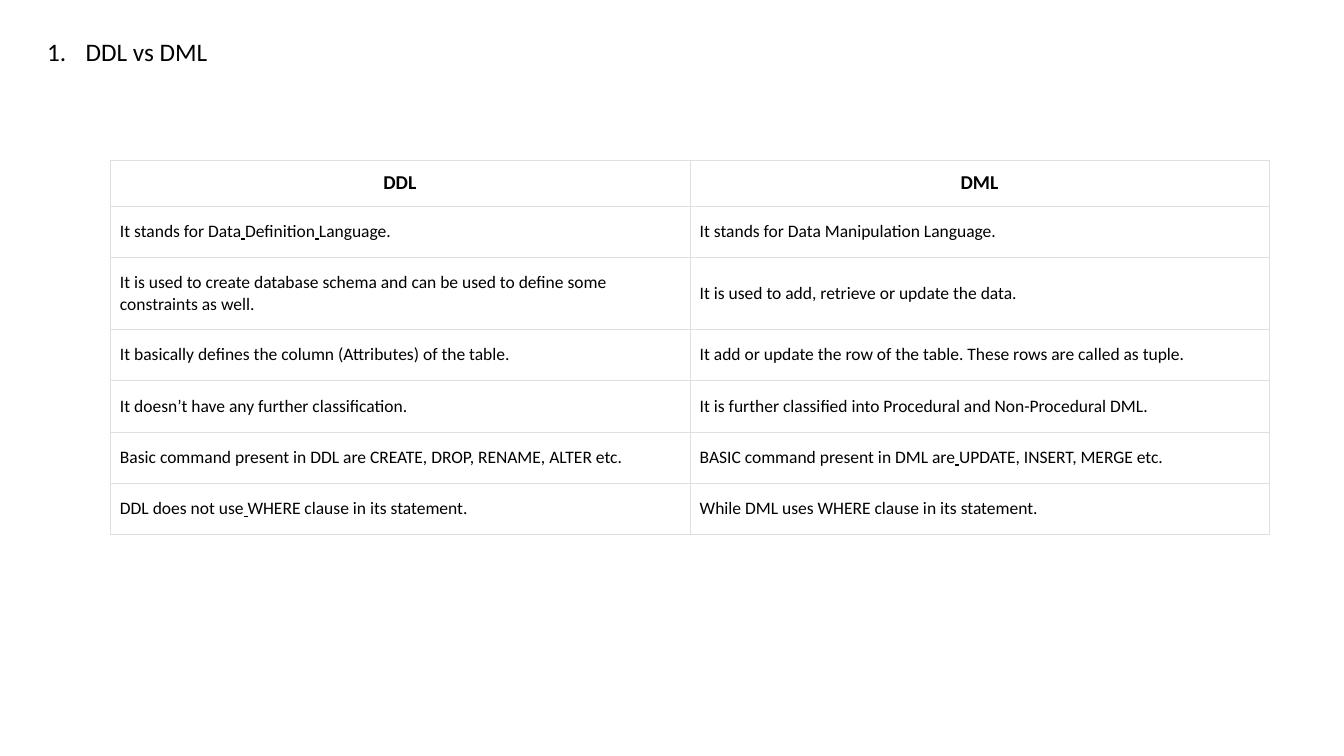
from lxml import etree
from pptx import Presentation, util as u
from pptx.dml.color import RGBColor
from pptx.enum import text
from pptx.oxml import ns

COLORS = {"ink": "000000", "cell": "FFFFFF", "border": "DFDFDF"}
ROW_HEIGHTS = [0.45, 0.5, 0.71, 0.5, 0.5, 0.5, 0.5]
COMPARISON = [
    ("DDL", "DML"),
    ("It stands for Data_Definition_Language.",
     "It stands for Data Manipulation Language."),
    ("It is used to create database schema and can be used to define some constraints as well.",
     "It is used to add, retrieve or update the data."),
    ("It basically defines the column (Attributes) of the table.",
     "It add or update the row of the table. These rows are called as tuple."),
    ("It doesn’t have any further classification.",
     "It is further classified into Procedural and Non-Procedural DML."),
    ("Basic command present in DDL are CREATE, DROP, RENAME, ALTER etc.",
     "BASIC command present in DML are_UPDATE, INSERT, MERGE etc."),
    ("DDL does not use_WHERE clause in its statement.",
     "While DML uses WHERE clause in its statement."),
]


class SlideBuilder:
    """Holds the text style and the current slide; an underscore in table text is an underlined space."""

    def __init__(self, page, font="Calibri"):
        self.page = page
        self.font = font

    def style(self, span, size, bold=False):
        span.font.name = self.font
        span.font.size = u.Pt(size)
        span.font.bold = bold
        span.font.color.rgb = RGBColor.from_string(COLORS["ink"])

    def numbered_title(self, wording, left, top, width, height):
        box = self.page.shapes.add_textbox(*map(u.Inches, (left, top, width, height)))
        box.text_frame.word_wrap = True
        box.text_frame.text = wording
        para = box.text_frame.paragraphs[0]
        self.style(para.runs[0], 18)
        props = para._p.get_or_add_pPr()
        props.set("marL", str(u.Inches(0.38)))
        props.set("indent", str(u.Inches(-0.38)))
        etree.SubElement(props, ns.qn("a:buAutoNum"), type="arabicPeriod")

    def border(self, cell):
        props = cell._tc.get_or_add_tcPr()
        for position, side in enumerate(("lnL", "lnR", "lnT", "lnB")):
            line = etree.Element(ns.qn(f"a:{side}"), w=str(u.Pt(0.23)))
            fill = etree.SubElement(line, ns.qn("a:solidFill"))
            etree.SubElement(fill, ns.qn("a:srgbClr"), val=COLORS["border"])
            props.insert(position, line)

    def fill_cell(self, cell, wording, header):
        cell.fill.solid()
        cell.fill.fore_color.rgb = RGBColor.from_string(COLORS["cell"])
        cell.vertical_anchor = text.MSO_ANCHOR.MIDDLE
        cell.margin_left = cell.margin_right = u.Inches(0.1)
        cell.margin_top = cell.margin_bottom = u.Inches(0.1 if header else 0.15)
        para = cell.text_frame.paragraphs[0]
        para.alignment = text.PP_ALIGN.CENTER if header else text.PP_ALIGN.LEFT
        first, *others = wording.split("_")
        para.text = first
        for part in others:
            gap = para.add_run()
            gap.text = " "
            gap.font.underline = True
            para.add_run().text = part
        for span in para.runs:
            self.style(span, 14 if header else 12.5, header)
        self.border(cell)

    def table(self, rows, heights, left, top, width):
        count = len(rows[0])
        frame = self.page.shapes.add_table(
            len(rows), count, u.Inches(left), u.Inches(top),
            u.Inches(width), u.Inches(sum(heights)))
        grid = frame.table
        grid.first_row = grid.horz_banding = False
        for column in grid.columns:
            column.width = u.Inches(width / count)
        for index, (row, height) in enumerate(zip(rows, heights)):
            grid.rows[index].height = u.Inches(height)
            for column, wording in enumerate(row):
                self.fill_cell(grid.cell(index, column), wording, index == 0)
        grid.cell(0, 0).margin_left = grid.cell(0, 0).margin_right = u.Inches(0.04)


deck = Presentation()
deck.slide_width = u.Inches(13.33)
deck.slide_height = u.Inches(7.5)
builder = SlideBuilder(deck.slides.add_slide(deck.slide_layouts[6]))
builder.numbered_title("DDL vs DML", 0.37, 0.31, 10.92, 0.71)
builder.table(COMPARISON, ROW_HEIGHTS, 1.09, 1.59, 11.5)
deck.save("out.pptx")
